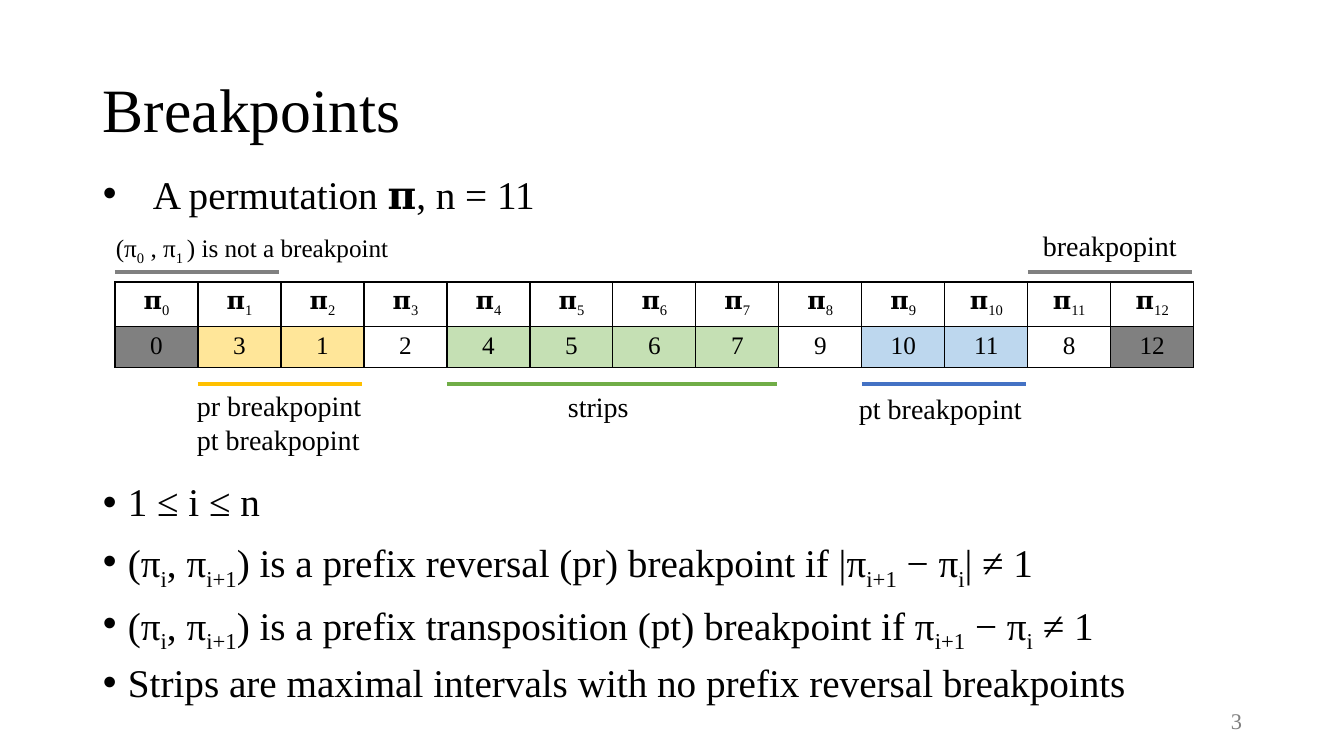
"""Build the slide on breakpoints and strips of a permutation."""
from typing import NamedTuple

from lxml import etree
from pptx import Presentation
from pptx import util as u
from pptx.dml.color import RGBColor
from pptx.enum import shapes, text
from pptx.oxml.ns import qn

PX = 914400 / 100.8
FONT = "Times New Roman"
COLORS = {
    "black": "000000", "gray": "808080",
    "pale_yellow": "FFE699", "pale_green": "C5E0B4", "pale_blue": "BDD7EE",
    "yellow": "FFC000", "green": "70AD47", "blue": "4472C4",
}
TABLE_LEFT, TABLE_TOP, COLUMN, ROW = 115, 282, 83, 41
VALUES = [0, 3, 1, 2, 4, 5, 6, 7, 9, 10, 11, 8, 12]
FILLS = {
    0: "gray", 1: "pale_yellow", 2: "pale_yellow", 4: "pale_green", 5: "pale_green",
    6: "pale_green", 7: "pale_green", 9: "pale_blue", 10: "pale_blue", 12: "gray",
}
DEFINITIONS = [
    "1 ≤ i ≤ n",
    "(π~i~, π~i+1~) is a prefix reversal (pr) breakpoint if |π~i+1~ − π~i~| ≠ 1",
    "(π~i~, π~i+1~) is a prefix transposition (pt) breakpoint if π~i+1~ − π~i~ ≠ 1",
    "Strips are maximal intervals with no prefix reversal breakpoints",
]


class Label(NamedTuple):
    left: int
    top: int
    width: int
    height: int
    lines: list[str]
    size: int = 20


class Bar(NamedTuple):
    first_column: int
    columns: int
    top: int
    color: str


LABELS = [
    Label(187, 384, 185, 78, ["pr breakpopint", "pt breakpopint"]),
    Label(849, 387, 184, 44, ["pt breakpopint"]),
    Label(558, 385, 82, 44, ["strips"]),
    Label(1033, 224, 155, 44, ["breakpopint"]),
    Label(106, 227, 300, 40, ["(π~0~ , π~1 ~) is not a breakpoint"], 18),
]
BARS = [
    Bar(1, 2, 384, "yellow"), Bar(4, 4, 384, "green"), Bar(9, 2, 384, "blue"),
    Bar(0, 2, 272, "gray"), Bar(11, 2, 272, "gray"),
]


def px(length: int) -> u.Emu:
    return u.Emu(round(length * PX))


def rgb(name: str) -> RGBColor:
    return RGBColor.from_string(COLORS[name])


def write(frame, lines: list[str], *, size: int, color: str = "black", align=None,
          indent: int = 0, spacing: float = 1.0, before: int = 0) -> None:
    """Write one paragraph per line; parts between tildes are subscripts."""
    for number, line in enumerate(lines):
        paragraph = frame.add_paragraph() if number else frame.paragraphs[0]
        if indent:
            properties = paragraph._p.get_or_add_pPr()
            properties.set("marL", str(px(indent)))
            properties.set("indent", str(-px(indent)))
            etree.SubElement(properties, qn("a:buFont"), typeface="Arial")
            etree.SubElement(properties, qn("a:buChar"), char="•")
        paragraph.alignment = align
        paragraph.line_spacing = spacing
        paragraph.space_before = u.Pt(before if number else 0)
        for position, part in enumerate(line.split("~")):
            if not part:
                continue
            run = paragraph.add_run()
            run.text = part
            run.font.name = FONT
            run.font.size = u.Pt(size)
            run.font.color.rgb = rgb(color)
            if position % 2:
                run._r.get_or_add_rPr().set("baseline", "-25000")


def add_text(slide, label: Label, *, wrap: bool = False,
             anchor=text.MSO_ANCHOR.TOP, **style) -> None:
    shape = slide.shapes.add_textbox(*map(px, label[:4]))
    shape.text_frame.word_wrap = wrap
    shape.text_frame.vertical_anchor = anchor
    write(shape.text_frame, label.lines, size=label.size, **style)


def add_bar(slide, bar: Bar) -> None:
    left = TABLE_LEFT + bar.first_column * COLUMN
    right = left + bar.columns * COLUMN - 2
    line = slide.shapes.add_connector(
        shapes.MSO_CONNECTOR.STRAIGHT, px(left), px(bar.top), px(right), px(bar.top))
    line.line.color.rgb = rgb(bar.color)
    line.line.width = u.Pt(3)
    etree.SubElement(line._element.spPr, qn("a:effectLst"))


def add_borders(cell) -> None:
    properties = cell._tc.get_or_add_tcPr()
    for side in ("lnL", "lnR", "lnT", "lnB"):
        border = etree.SubElement(properties, qn(f"a:{side}"), w=str(u.Pt(1)))
        fill = etree.SubElement(border, qn("a:solidFill"))
        etree.SubElement(fill, qn("a:srgbClr"), val=COLORS["black"])


def add_permutation(slide) -> None:
    count = len(VALUES)
    table = slide.shapes.add_table(
        2, count, px(TABLE_LEFT), px(TABLE_TOP), px(count * COLUMN), px(2 * ROW)).table
    table.first_row = table.horz_banding = False
    for row in table.rows:
        row.height = px(ROW)
    for index, value in enumerate(VALUES):
        table.columns[index].width = px(COLUMN)
        for row, content in enumerate((f"𝛑~{index}~", str(value))):
            cell = table.cell(row, index)
            add_borders(cell)
            if row and index in FILLS:
                cell.fill.solid()
                cell.fill.fore_color.rgb = rgb(FILLS[index])
            else:
                cell.fill.background()
            write(cell.text_frame, [content], size=18, align=text.PP_ALIGN.CENTER)


def main() -> None:
    presentation = Presentation()
    presentation.slide_width, presentation.slide_height = px(1344), px(756)
    slide = presentation.slides.add_slide(presentation.slide_layouts[6])
    middle = text.MSO_ANCHOR.MIDDLE
    add_text(slide, Label(93, 40, 1159, 146, ["Breakpoints"], 44),
             wrap=True, anchor=middle, spacing=0.9)
    add_text(slide, Label(93, 478, 1159, 229, DEFINITIONS, 28),
             wrap=True, indent=25, spacing=0.9, before=10)
    add_text(slide, Label(950, 701, 302, 40, ["3"], 16),
             wrap=True, anchor=middle, color="gray", align=text.PP_ALIGN.RIGHT)
    add_permutation(slide)
    add_text(slide, Label(93, 165, 464, 57, ["A permutation 𝛑, n = 11"], 28), indent=50)
    for bar in BARS:
        add_bar(slide, bar)
    for label in LABELS:
        add_text(slide, label)
    presentation.save("out.pptx")


if __name__ == "__main__":
    main()
